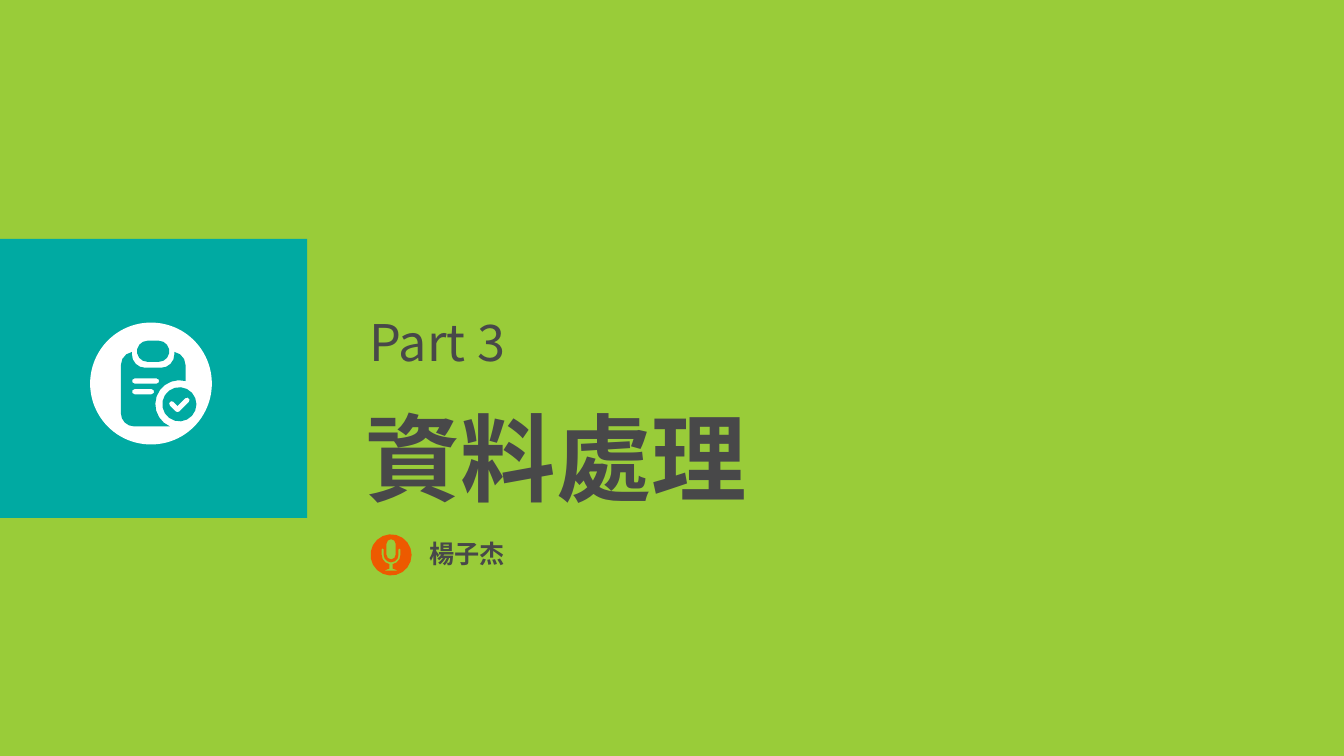
from math import acos, cos, degrees, radians, sin

from lxml import etree
from pptx import Presentation
from pptx.dml.color import RGBColor
from pptx.enum.shapes import MSO_SHAPE
from pptx.enum.text import MSO_ANCHOR, MSO_AUTO_SIZE, PP_ALIGN
from pptx.oxml.ns import qn
from pptx.util import Pt

RECTANGLE, OVAL = MSO_SHAPE.RECTANGLE, MSO_SHAPE.OVAL
TOP, MIDDLE = MSO_ANCHOR.TOP, MSO_ANCHOR.MIDDLE
LEFT, CENTER = PP_ALIGN.LEFT, PP_ALIGN.CENTER
FIT_SHAPE = MSO_AUTO_SIZE.SHAPE_TO_FIT_TEXT

GREEN = RGBColor(0x99, 0xCC, 0x39)
TEAL = RGBColor(0x00, 0xAA, 0xA2)
ORANGE = RGBColor(0xED, 0x5A, 0x00)
WHITE = RGBColor(0xFF, 0xFF, 0xFF)
GRAY = RGBColor(0x48, 0x48, 0x49)
FONT = "Noto Sans CJK SC"
LANGUAGE = "zh-TW"
CURVE_TOLERANCE = 0.2


def set_values(target, values):
    for name, value in values.items():
        setattr(target, name, value)


def place(shape, left, top, width, height):
    set_values(shape, {"left": Pt(left), "top": Pt(top),
                       "width": Pt(width), "height": Pt(height)})


def write(box, text, size, bold=False, align=LEFT, anchor=TOP):
    frame = box.text_frame
    set_values(frame, {"word_wrap": True, "auto_size": FIT_SHAPE,
                       "vertical_anchor": anchor})
    para = frame.paragraphs[0]
    para.alignment = align
    span = para.add_run()
    span.text = text
    set_values(span.font, {"size": Pt(size), "bold": bold, "name": FONT})
    span.font.color.rgb = GRAY
    properties = span._r.get_or_add_rPr()
    properties.set("lang", LANGUAGE)
    etree.SubElement(properties, qn("a:ea")).set("typeface", FONT)


def add_text(page, area, text, size, **options):
    box = page.shapes.add_textbox(0, 0, 0, 0)
    place(box, *area)
    write(box, text, size, **options)


def paint(shape, color):
    shape.fill.solid()
    shape.fill.fore_color.rgb = color
    shape.line.fill.background()
    shape.shadow.inherit = False


def add_block(page, kind, area, color):
    paint(page.shapes.add_shape(kind, *map(Pt, area)), color)


def arc(x, y, radius, start, end):
    """Points along an arc; angles run clockwise from the right."""
    step = degrees(2 * acos(1 - CURVE_TOLERANCE / radius))
    count = max(2, round(abs(end - start) / step))
    angles = [radians(start + (end - start) * i / count) for i in range(count + 1)]
    return [(x + radius * cos(a), y + radius * sin(a)) for a in angles]


def circle(x, y, radius):
    return arc(x, y, radius, 0, 360)[:-1]


def pill(left, top, width, height):
    radius = min(width, height) / 2
    turn = 90 if width > height else 180
    return (arc(left + radius, top + radius, radius, turn, turn + 180)
            + arc(left + width - radius, top + height - radius, radius,
                  turn - 180, turn))


def add_icon(page, outlines, color):
    """One shape from several outlines; inner outlines become holes."""
    outlines = [[(Pt(x), Pt(y)) for x, y in outline] for outline in outlines]
    builder = page.shapes.build_freeform(*outlines[0][0], scale=1.0)
    for index, outline in enumerate(outlines):
        if index:
            builder.move_to(*outline[0])
        builder.add_line_segments(outline[1:], close=True)
    paint(builder.convert_to_shape(), color)


def clipboard_outlines():
    badge_x, badge_y = 128.2, 288.8
    corner = 9.4
    board = (arc(95.8, 260.7, corner, 180, 261)
             + arc(103.7, 253.3, corner, 180, 90)
             + arc(115.2, 253.3, corner, 90, 0)
             + arc(123.2, 260.7, corner, 279, 360)
             + arc(badge_x, badge_y, 17.2, 285, 113)
             + arc(95.8, 295.2, corner, 90, 180))
    tip_x, tip_y, half = 126.9, 292.6, 1.9
    check = (arc(tip_x - 4.2, tip_y - 4.2, half, 135, 315)
             + [(tip_x, tip_y - 2.7)]
             + arc(tip_x + 6.8, tip_y - 6.8, half, 225, 405)
             + arc(tip_x, tip_y, half, 45, 135))
    return [board, pill(97.9, 243.4, 23.1, 15.1),
            pill(94.3, 270.3, 19.5, 3.8), pill(94.3, 277.9, 15.9, 3.8),
            circle(badge_x, badge_y, 12.2), check]


def microphone_outlines():
    x, y = 279.5, 396.4
    stand = (arc(x - 6, y - 4, 0.7, 180, 360)
             + arc(x, y, 5.3, 180, 0)
             + arc(x + 6, y - 4, 0.7, 180, 360)
             + arc(x, y, 6.7, 0, 80)
             + [(x + 1.2, y + 9.8), (x + 5, y + 11.2),
                (x - 5, y + 11.2), (x - 1.2, y + 9.8)]
             + arc(x, y, 6.7, 100, 180))
    return [circle(x, y, 14.7), pill(x - 3.3, y - 11.2, 6.6, 14.4), stand]


def main():
    deck = Presentation()
    deck.slide_width, deck.slide_height = Pt(960.5), Pt(540)
    page = deck.slides.add_slide(deck.slide_layouts[5])
    page.background.fill.solid()
    page.background.fill.fore_color.rgb = GREEN

    # Title and part number
    title = page.shapes.title
    place(title, 254.2, 281.5, 527, 90)
    write(title, "資料處理", 68, bold=True)
    add_text(page, (257, 218.9, 126, 51.1), "Part 3", 36)

    # Clipboard emblem
    add_block(page, RECTANGLE, (0, 170.6, 219.6, 199.4), TEAL)
    add_block(page, OVAL, (64.4, 230.4, 87, 87.1), WHITE)
    add_icon(page, clipboard_outlines(), TEAL)

    # Speaker
    add_icon(page, microphone_outlines(), ORANGE)
    add_text(page, (287.3, 380.9, 92.9, 28.8), "楊子杰", 18,
             bold=True, align=CENTER, anchor=MIDDLE)

    deck.save("out.pptx")


if __name__ == "__main__":
    main()
